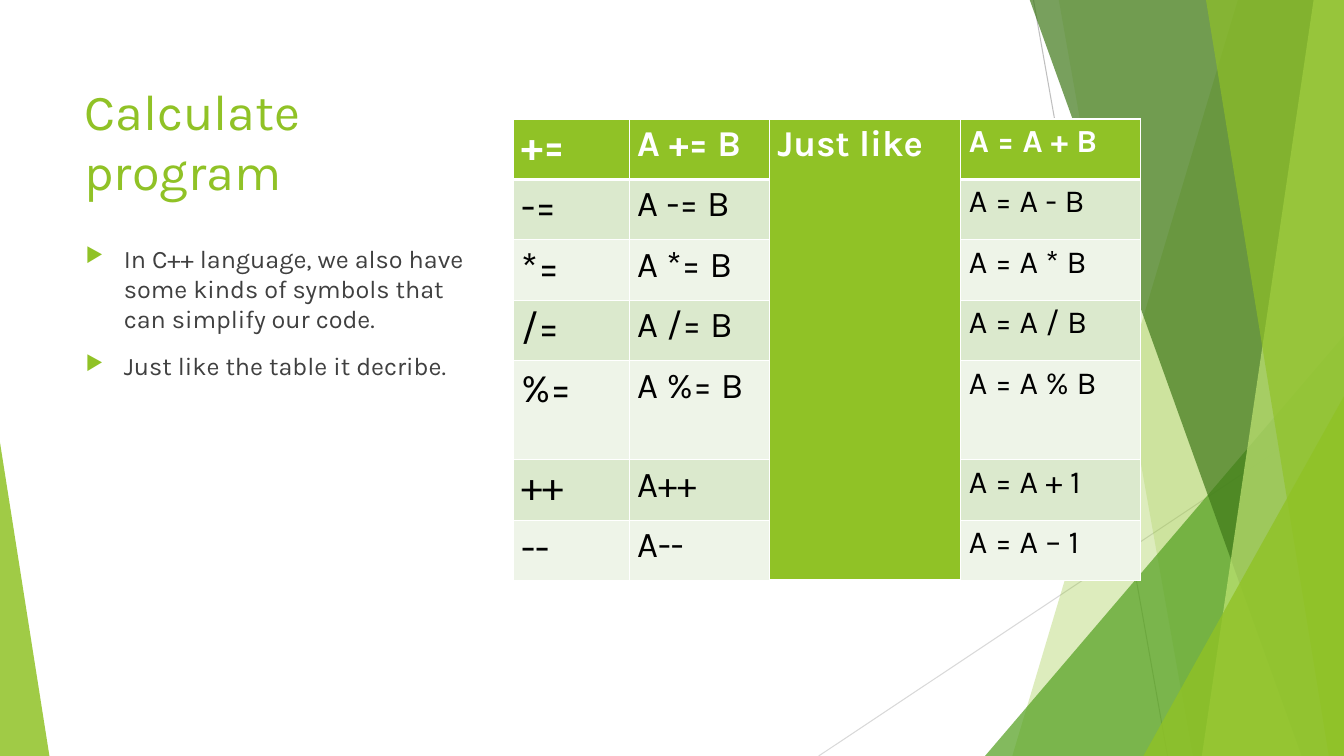
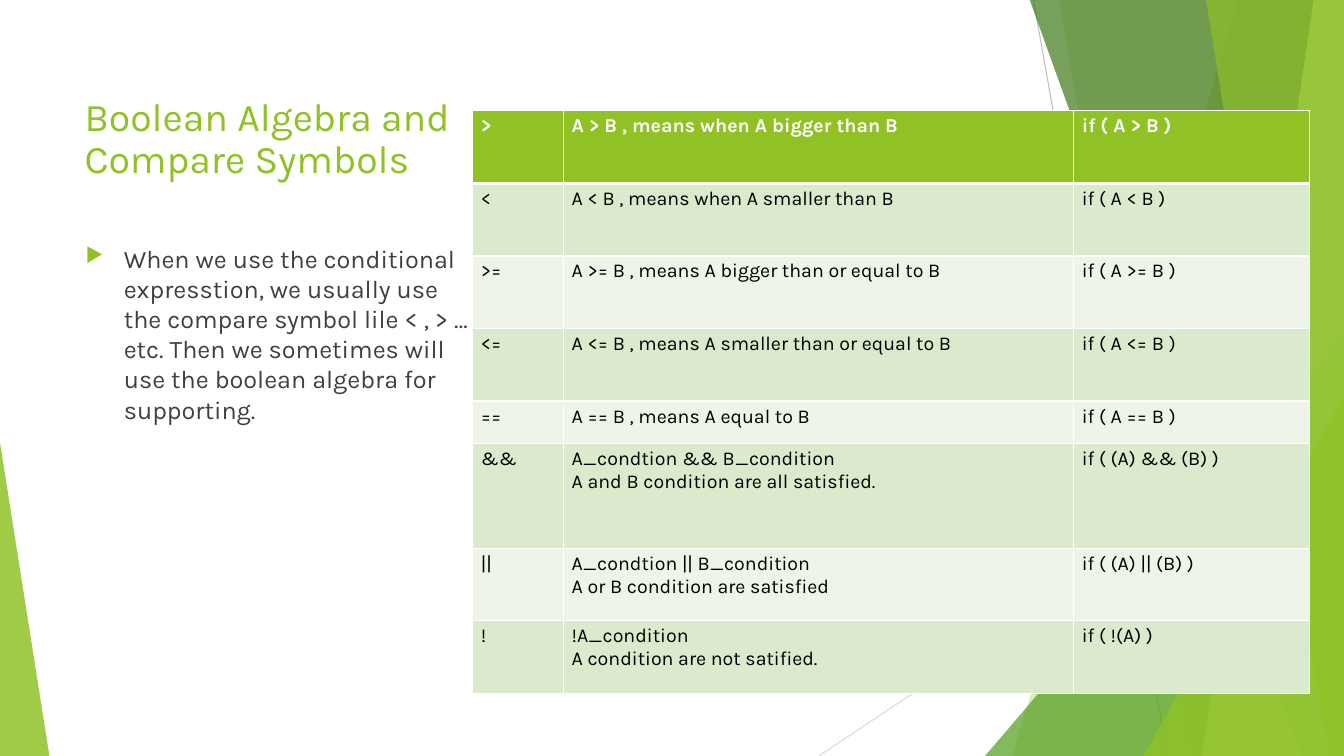
from lxml import etree
from pptx import Presentation
from pptx.dml.color import RGBColor
from pptx.enum.shapes import MSO_CONNECTOR, MSO_SHAPE
from pptx.enum.text import MSO_ANCHOR
from pptx.oxml.ns import qn
from pptx.util import Inches, Pt

FONT = "Karla"
WIDTH, HEIGHT = 13.33, 7.5
GREEN = RGBColor(0x90, 0xC2, 0x26)
MID_GREEN = RGBColor(0x54, 0xA0, 0x21)
DARK_GREEN = RGBColor(0x3F, 0x78, 0x19)
LIME = RGBColor(0xC0, 0xE4, 0x74)
BAND_DARK = RGBColor(0xDB, 0xE9, 0xCD)
BAND_LIGHT = RGBColor(0xEE, 0xF4, 0xE8)
GREY = RGBColor(0xBF, 0xBF, 0xBF)
LIGHT_GREY = RGBColor(0xD9, 0xD9, 0xD9)
TEXT_GREY = RGBColor(0x40, 0x40, 0x40)
WHITE = RGBColor(0xFF, 0xFF, 0xFF)
BLACK = RGBColor(0x00, 0x00, 0x00)

OPERATORS = [
    ["+=", "A += B", "Just like", "A = A + B"],
    ["-=", "A -= B", "", "A = A - B"],
    ["*=", "A *= B", "", "A = A * B"],
    ["/=", "A /= B", "", "A = A / B"],
    ["%=", "A %= B", "", "A = A % B"],
    ["++", "A++", "", "A = A + 1"],
    ["--", "A--", "", "A = A – 1"],
]
COMPARISONS = [
    [">", "A > B , means when A bigger than B", "if ( A > B )"],
    ["<", "A < B , means when A smaller than B", "if ( A < B )"],
    [">=", "A >= B , means A bigger than or equal to B", "if ( A >= B )"],
    ["<=", "A <= B , means A smaller than or equal to B", "if ( A <= B )"],
    ["==", "A == B , means A equal to B", "if ( A == B )"],
    ["&&", "A_condtion && B_condition\nA and B condition are all satisfied.",
     "if ( (A) && (B) )"],
    ["||", "A_condtion || B_condition\nA or B condition are satisfied",
     "if ( (A) || (B) )"],
    ["!", "!A_condition\nA condition are not satified.", "if ( !(A) )"],
]


def style_runs(tf, size, color, bold=False):
    for p in tf.paragraphs:
        for r in p.runs:
            r.font.name = FONT
            r.font.size = Pt(size)
            r.font.bold = bold
            r.font.color.rgb = color


# Background facets
def add_line(slide, start, end, color):
    points = [Inches(v) for v in (*start, *end)]
    line = slide.shapes.add_connector(MSO_CONNECTOR.STRAIGHT, *points)
    line.line.color.rgb = color
    line.line.width = Pt(0.75)
    etree.SubElement(line._element.spPr, qn("a:effectLst"))


def fill_facet(sp, color, opacity):
    sp.shadow.inherit = False
    sp.fill.solid()
    sp.fill.fore_color.rgb = color
    sp.line.fill.background()
    clr = sp._element.spPr.find(qn("a:solidFill"))[0]
    etree.SubElement(clr, qn("a:alpha"), val=str(opacity * 1000))


def add_facet(slide, top_x, bottom_x, color, opacity):
    """Full-height facet between a slanted left edge and the slide's right edge."""
    top = -0.01
    corners = [(WIDTH, top), (WIDTH, HEIGHT), (bottom_x, HEIGHT)]
    builder = slide.shapes.build_freeform(Inches(top_x), Inches(top))
    builder.add_line_segments([(Inches(x), Inches(y)) for x, y in corners])
    fill_facet(builder.convert_to_shape(), color, opacity)


def add_triangle(slide, left, top, width, apex, color, opacity):
    """Triangle standing on the bottom edge; apex runs from 0 (left) to 1 (right)."""
    sp = slide.shapes.add_shape(
        MSO_SHAPE.ISOSCELES_TRIANGLE, Inches(left), Inches(top),
        Inches(width), Inches(HEIGHT - top))
    sp.adjustments[0] = apex
    fill_facet(sp, color, opacity)


def add_background(slide):
    add_line(slide, (10.25, 0), (11.58, HEIGHT), GREY)
    add_line(slide, (WIDTH, 4.03), (8.12, HEIGHT), LIGHT_GREY)
    add_facet(slide, 12.28, 10.04, GREEN, 30)
    add_facet(slide, 10.5, 11.83, GREEN, 20)
    add_triangle(slide, 9.77, 3.33, 3.56, 1, MID_GREEN, 72)
    add_facet(slide, 10.21, 12.91, DARK_GREEN, 70)
    add_facet(slide, 13.03, 11.92, LIME, 70)
    add_facet(slide, 11.96, 13.18, GREEN, 65)
    add_triangle(slide, 11.34, 3.93, 1.99, 1, GREEN, 80)
    add_triangle(slide, 0, 4.39, 0.49, 0, GREEN, 85)


# Title and bullets
def add_text(slide, left, top, width, height, text):
    box = slide.shapes.add_textbox(
        Inches(left), Inches(top), Inches(width), Inches(height))
    tf = box.text_frame
    tf.word_wrap = True
    tf.text = text
    return tf


def add_title(slide, text, size, line_spacing):
    tf = add_text(slide, 0.74, 0.67, 4.08, 1.44, text)
    tf.vertical_anchor = MSO_ANCHOR.MIDDLE
    p = tf.paragraphs[0]
    p.line_spacing = line_spacing
    style_runs(tf, size, GREEN)


def add_bullet(p):
    pPr = p._p.get_or_add_pPr()
    pPr.set("marL", str(Inches(0.38)))
    pPr.set("indent", str(Inches(-0.38)))
    clr = etree.SubElement(pPr, qn("a:buClr"))
    etree.SubElement(clr, qn("a:srgbClr"), val=str(GREEN))
    etree.SubElement(pPr, qn("a:buSzPct"), val="80000")
    etree.SubElement(pPr, qn("a:buChar"), char="▶")


def add_bullets(slide, items):
    tf = add_text(slide, 0.75, 2.36, 4.07, 3.89, "\n".join(items))
    for i, p in enumerate(tf.paragraphs):
        add_bullet(p)
        if i:
            p.space_before = Pt(12)
    style_runs(tf, 18, TEXT_GREY)


# Tables
def set_borders(cell, bottom_width):
    tcPr = cell._tc.get_or_add_tcPr()
    for side, width in (("L", 1), ("R", 1), ("T", 1), ("B", bottom_width)):
        ln = etree.SubElement(tcPr, qn(f"a:ln{side}"), w=str(Pt(width)))
        fill = etree.SubElement(ln, qn("a:solidFill"))
        etree.SubElement(fill, qn("a:srgbClr"), val=str(WHITE))


def format_cell(cell, text, size, row):
    header = row == 0
    set_borders(cell, 3 if header else 1)
    cell.fill.solid()
    band = BAND_DARK if row % 2 else BAND_LIGHT
    cell.fill.fore_color.rgb = GREEN if header else band
    cell.margin_left = cell.margin_right = Inches(0.08)
    cell.margin_top = cell.margin_bottom = Inches(0.04)
    cell.text_frame.text = text
    style_runs(cell.text_frame, size, WHITE if header else BLACK, header)


def add_grid(slide, left, top, widths, heights, sizes, rows, merged_col=None):
    table = slide.shapes.add_table(
        len(rows), len(widths), Inches(left), Inches(top),
        Inches(sum(widths)), Inches(sum(heights))).table
    table.horz_banding = False
    for col, width in zip(table.columns, widths):
        col.width = Inches(width)
    for row, height in zip(table.rows, heights):
        row.height = Inches(height)
    if merged_col is not None:
        last = table.cell(len(rows) - 1, merged_col)
        table.cell(0, merged_col).merge(last)
    for i, texts in enumerate(rows):
        for j, text in enumerate(texts):
            cell = table.cell(i, j)
            if not cell.is_spanned:
                format_cell(cell, text, sizes[j], i)


def add_slide(prs, title, title_size, line_spacing, bullets):
    slide = prs.slides.add_slide(prs.slide_layouts[6])
    add_background(slide)
    add_title(slide, title, title_size, line_spacing)
    add_bullets(slide, bullets)
    return slide


def main():
    prs = Presentation()
    prs.slide_width, prs.slide_height = Inches(WIDTH), Inches(HEIGHT)

    # Compound assignment
    s = add_slide(prs, "Calculate program", 36, 1.0, [
        "In C++ language, we also have some kinds of symbols that can "
        "simplify our code.",
        "Just like the table it decribe.",
    ])
    add_grid(s, 5.09, 1.18, [1.15, 1.39, 1.9, 1.78],
             [0.6] * 4 + [0.98] + [0.6] * 2, [29, 26, 26, 23],
             OPERATORS, merged_col=2)

    # Comparison and logic
    s = add_slide(prs, "Boolean Algebra and Compare Symbols", 28, 0.9, [
        "When we use the conditional expresstion, we usually use the compare "
        "symbol lile < , > …etc. Then we sometimes will use the boolean "
        "algebra for supporting.",
    ])
    add_grid(s, 4.69, 1.1, [0.9, 5.06, 2.34],
             [0.72] * 4 + [0.42, 1.04] + [0.72] * 2, [14] * 3, COMPARISONS)

    prs.save("out.pptx")


if __name__ == "__main__":
    main()
